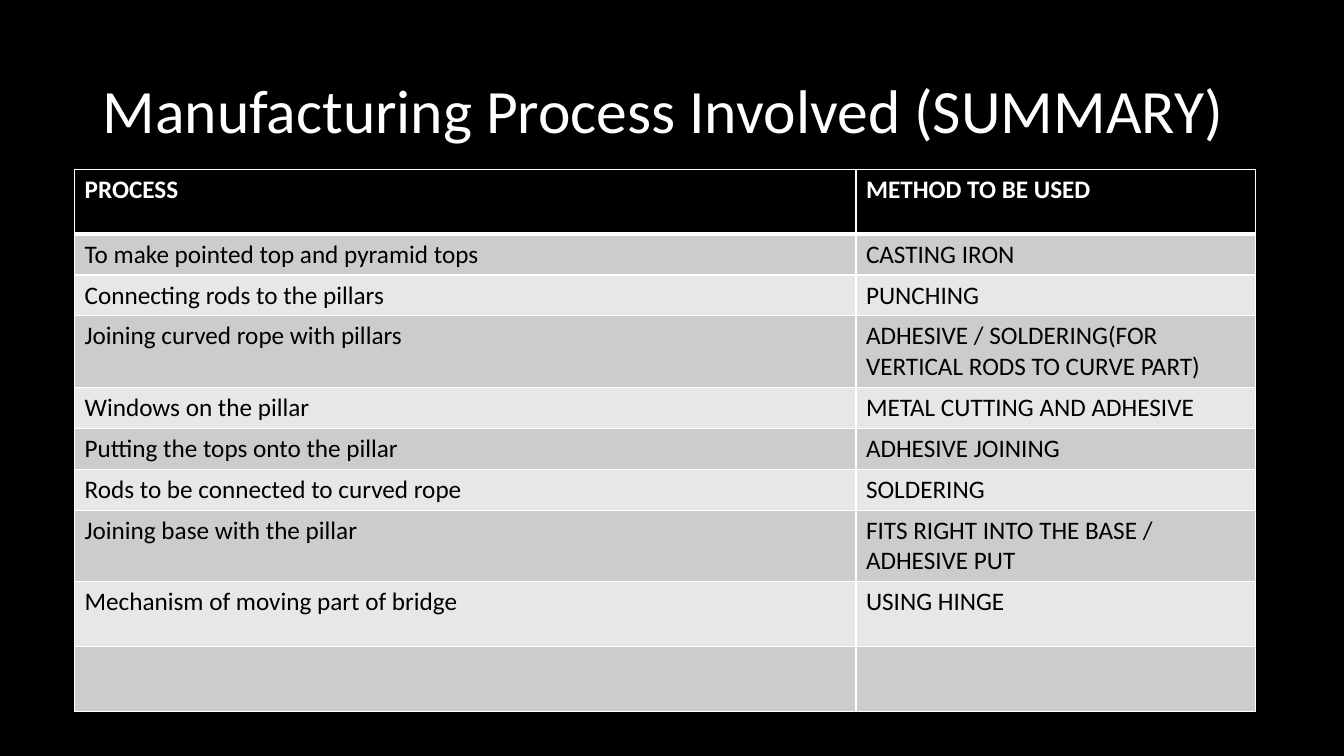
"""Build the slide that sums up the manufacturing processes."""
from lxml import etree
from pptx import Presentation
from pptx.dml.color import RGBColor
from pptx.enum.text import MSO_ANCHOR, MSO_AUTO_SIZE, PP_ALIGN
from pptx.oxml.ns import qn
from pptx.util import Cm, Pt

LEFT = PP_ALIGN.LEFT
MIDDLE = MSO_ANCHOR.MIDDLE
TOP = MSO_ANCHOR.TOP
FIXED = MSO_AUTO_SIZE.NONE

TITLE = "Manufacturing Process Involved (SUMMARY)"
ROWS = [
    ("PROCESS", "METHOD TO BE USED"),
    ("To make pointed top and pyramid tops", "CASTING IRON"),
    ("Connecting rods to the pillars", "PUNCHING"),
    ("Joining curved rope with pillars",
     "ADHESIVE / SOLDERING(FOR VERTICAL RODS TO CURVE PART)"),
    ("Windows on the pillar", "METAL CUTTING AND ADHESIVE"),
    ("Putting the tops onto the pillar", "ADHESIVE JOINING"),
    ("Rods to be connected to curved rope", "SOLDERING"),
    ("Joining base with the pillar", "FITS RIGHT INTO THE BASE / ADHESIVE PUT"),
    ("Mechanism of moving part of bridge", "USING HINGE"),
    ("", ""),
]
SHORT, TALL, DOUBLE = 1.03, 1.63, 1.79
HEIGHTS = [TALL, SHORT, SHORT, DOUBLE, SHORT, SHORT, SHORT, DOUBLE, TALL, TALL]
WIDTHS = [19.69, 10.06]
THEME = {
    "font": "Calibri",
    "dark": "000000",
    "light": "FFFFFF",
    "bands": ("CCCCCC", "E7E7E7"),
    "title": 44,
    "body": 18,
    "thin": 1,
    "thick": 3,
}


def write(frame, text, size, color, bold=False, anchor=TOP, space=1.0):
    """Put formatted text into a text frame."""
    frame.word_wrap = True
    frame.vertical_anchor = anchor
    para = frame.paragraphs[0]
    para.alignment = LEFT
    para.line_spacing = space
    para.font.size = Pt(size)
    if text:
        run = para.add_run()
        run.text = text
        font = run.font
        font.name, font.size, font.bold = THEME["font"], Pt(size), bold
        font.color.rgb = RGBColor.from_string(color)


def edge(cell, side, width):
    """Draw one border line of a cell."""
    props = cell._tc.get_or_add_tcPr()
    line = etree.SubElement(props, qn("a:ln" + side), w=str(Pt(width)))
    fill = etree.SubElement(line, qn("a:solidFill"))
    etree.SubElement(fill, qn("a:srgbClr"), val=THEME["light"])


def paint(fill, color):
    """Fill an area with one solid colour."""
    fill.solid()
    fill.fore_color.rgb = RGBColor.from_string(color)


def add_grid(slide):
    """Add the table of processes and methods."""
    grid = slide.shapes.add_table(
        len(ROWS), len(WIDTHS), Cm(1.88), Cm(4.27),
        Cm(sum(WIDTHS)), Cm(sum(HEIGHTS))).table
    for col, width in zip(grid.columns, WIDTHS):
        col.width = Cm(width)
    for i, (texts, height) in enumerate(zip(ROWS, HEIGHTS)):
        grid.rows[i].height = Cm(height)
        head = i == 0
        color = THEME["dark"] if head else THEME["bands"][(i - 1) % 2]
        ink = THEME["light"] if head else THEME["dark"]
        thick = {"B"} if head else {"T"} if i == 1 else set()
        for j, text in enumerate(texts):
            cell = grid.cell(i, j)
            for side in "LRTB":
                edge(cell, side, THEME["thick" if side in thick else "thin"])
            paint(cell.fill, color)
            write(cell.text_frame, text, THEME["body"], ink, bold=head)


def main():
    """Create the deck and save it."""
    deck = Presentation()
    deck.slide_width, deck.slide_height = Cm(33.87), Cm(19.05)
    slide = deck.slides.add_slide(deck.slide_layouts[5])
    paint(slide.background.fill, THEME["dark"])
    title = slide.shapes.title
    title.left, title.top = Cm(2.33), Cm(1.01)
    title.width, title.height = Cm(29.21), Cm(3.68)
    title.text_frame.auto_size = FIXED
    write(title.text_frame, TITLE, THEME["title"], THEME["light"],
          anchor=MIDDLE, space=0.9)
    add_grid(slide)
    deck.save("out.pptx")


if __name__ == "__main__":
    main()
